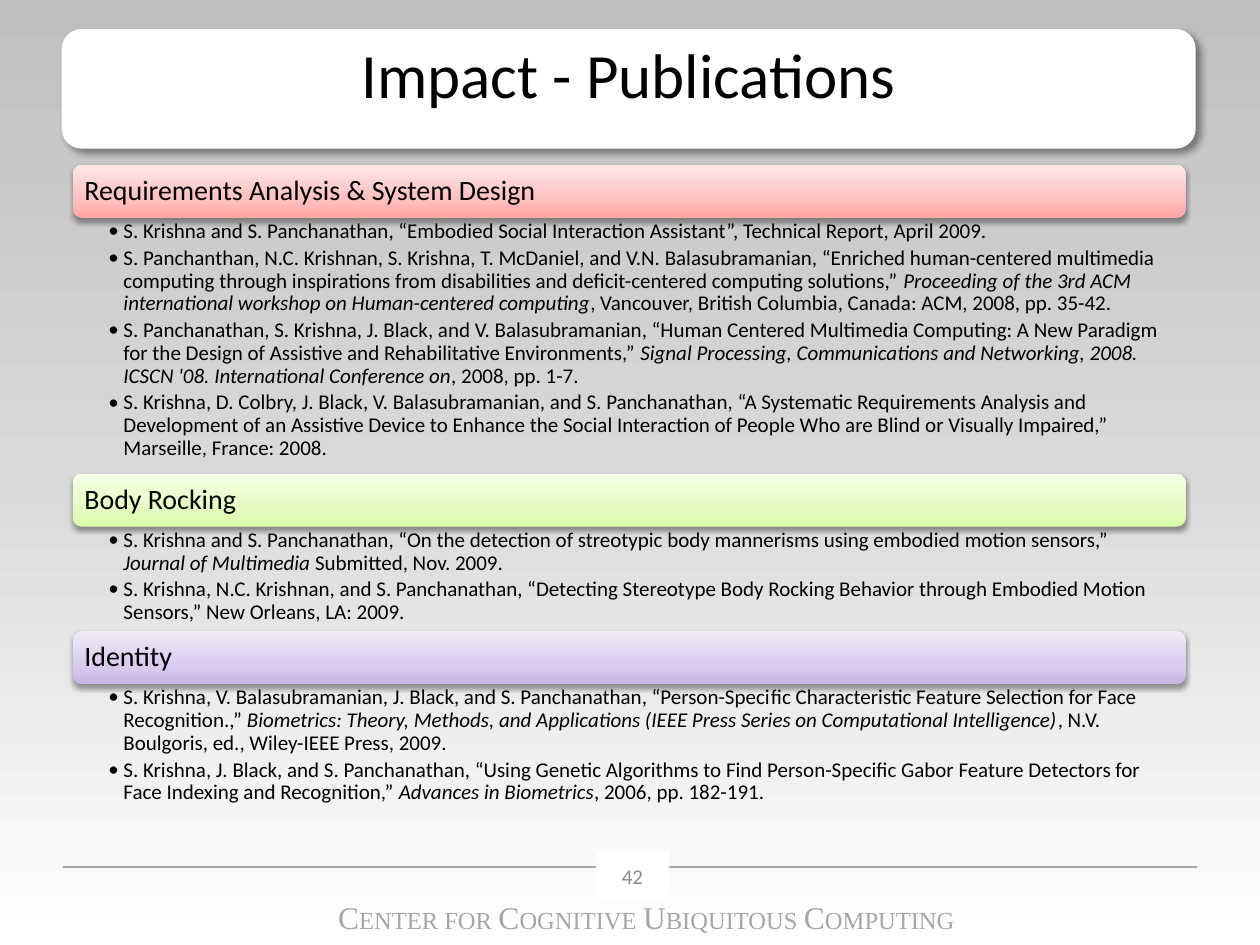
from dataclasses import dataclass

from lxml import etree
from pptx import Presentation
from pptx.dml.color import RGBColor
from pptx.enum.shapes import MSO_CONNECTOR, MSO_SHAPE
from pptx.enum.text import MSO_ANCHOR, MSO_AUTO_SIZE, PP_ALIGN
from pptx.oxml.ns import qn
from pptx.util import Inches, Pt

ROUNDED, RECTANGLE = MSO_SHAPE.ROUNDED_RECTANGLE, MSO_SHAPE.RECTANGLE
STRAIGHT = MSO_CONNECTOR.STRAIGHT
TOP, MIDDLE = MSO_ANCHOR.TOP, MSO_ANCHOR.MIDDLE
LEFT, CENTER = PP_ALIGN.LEFT, PP_ALIGN.CENTER
NO_FIT = MSO_AUTO_SIZE.NONE
COMPARISON_LAYOUT = 4

WIDTH, HEIGHT = Inches(10), Inches(7.5)
COL, ROW = WIDTH / 100, HEIGHT / 75
BAR_ROWS = 4.2


@dataclass(frozen=True)
class Theme:
    font: str = "Calibri"
    footer_font: str = "Times New Roman"
    ink: str = "000000"
    paper: str = "FFFFFF"
    rule: str = "A6A6A6"
    number: str = "8C8C8C"
    backdrop: tuple = ((0, "BFBFBF"), (50, "D9D9D9"), (100, "FFFFFF"))
    red: tuple = ((0, "FFA6A5"), (35, "FFC0BF"), (100, "FFE7E7"))
    green: tuple = ((0, "DAFDA7"), (35, "E4FCC2"), (100, "F5FFE7"))
    purple: tuple = ((0, "C9B5E8"), (35, "D8CBEE"), (100, "F0EAF9"))
    title_size: int = 36
    heading_size: int = 16
    body_size: int = 12
    capital_size: int = 18
    small_cap_size: int = 14


THEME = Theme()

# Asterisks enclose italic passages.
TOPICS = [
    ("Requirements Analysis & System Design", THEME.red, 20.3, [
        "S. Krishna and S. Panchanathan, “Embodied Social Interaction Assistant”, Technical Report, April 2009.",
        "S. Panchanthan, N.C. Krishnan, S. Krishna, T. McDaniel, and V.N. Balasubramanian, “Enriched human-centered "
        "multimedia computing through inspirations from disabilities and deficit-centered computing solutions,” "
        "*Proceeding of the 3rd ACM international workshop on Human-centered computing*, Vancouver, British "
        "Columbia, Canada: ACM, 2008, pp. 35-42.",
        "S. Panchanathan, S. Krishna, J. Black, and V. Balasubramanian, “Human Centered Multimedia Computing: A New "
        "Paradigm for the Design of Assistive and Rehabilitative Environments,” *Signal Processing, Communications "
        "and Networking, 2008. ICSCN '08. International Conference on*, 2008, pp. 1-7.",
        "S. Krishna, D. Colbry, J. Black, V. Balasubramanian, and S. Panchanathan, “A Systematic Requirements "
        "Analysis and Development of an Assistive Device to Enhance the Social Interaction of People Who are Blind "
        "or Visually Impaired,” Marseille, France: 2008.",
    ]),
    ("Body Rocking", THEME.green, 8.3, [
        "S. Krishna and S. Panchanathan, “On the detection of streotypic body mannerisms using embodied motion "
        "sensors,” *Journal of Multimedia* Submitted, Nov. 2009.",
        "S. Krishna, N.C. Krishnan, and S. Panchanathan, “Detecting Stereotype Body Rocking Behavior through "
        "Embodied Motion Sensors,” New Orleans, LA: 2009.",
    ]),
    ("Identity", THEME.purple, 10.1, [
        "S. Krishna, V. Balasubramanian, J. Black, and S. Panchanathan, “Person-Speciﬁc Characteristic Feature "
        "Selection for Face Recognition.,” *Biometrics: Theory, Methods, and Applications (IEEE Press Series on "
        "Computational Intelligence)*, N.V. Boulgoris, ed., Wiley-IEEE Press, 2009.",
        "S. Krishna, J. Black, and S. Panchanathan, “Using Genetic Algorithms to Find Person-Specific Gabor Feature "
        "Detectors for Face Indexing and Recognition,” *Advances in Biometrics*, 2006, pp. 182-191.",
    ]),
]


def grid(col, row, cols, rows):
    return [round(n) for n in (col * COL, row * ROW, cols * COL, rows * ROW)]


def place(shape, box):
    shape.left, shape.top, shape.width, shape.height = box


def style(run, size, color=THEME.ink, font=THEME.font, italic=False):
    run.font.size, run.font.name, run.font.italic = Pt(size), font, italic
    run.font.bold = False
    run.font.color.rgb = RGBColor.from_string(color)


def set_frame(frame, anchor, margins=None):
    frame.word_wrap, frame.auto_size, frame.vertical_anchor = True, NO_FIT, anchor
    if margins:
        (frame.margin_left, frame.margin_top,
         frame.margin_right, frame.margin_bottom) = [Inches(m) for m in margins]


def set_gradient(fill, owner, stops, angle):
    """Fill with any number of stops; owner is the element that holds the fill."""
    fill.gradient()
    fill.gradient_angle = angle
    stop_list = owner.find(".//" + qn("a:gsLst"))
    for old_stop in list(stop_list):
        stop_list.remove(old_stop)
    for share, color in stops:
        stop = etree.SubElement(stop_list, qn("a:gs"), pos=str(share * 1000))
        etree.SubElement(stop, qn("a:srgbClr"), val=color)


def add_shadow(shape, opacity, blur, distance, angle):
    shape.shadow.inherit = False
    effects = shape._element.spPr.find(qn("a:effectLst"))
    outer = etree.SubElement(effects, qn("a:outerShdw"), blurRad=str(Pt(blur)), dist=str(Pt(distance)),
                             dir=str(angle * 60000), algn="ctr", rotWithShape="0")
    color = etree.SubElement(outer, qn("a:srgbClr"), val=THEME.ink)
    etree.SubElement(color, qn("a:alpha"), val=str(opacity * 1000))


def add_bullet(paragraph, indent):
    properties = paragraph._p.get_or_add_pPr()
    properties.set("marL", str(indent))
    properties.set("indent", str(-indent))
    etree.SubElement(properties, qn("a:buFont"), typeface=THEME.font)
    etree.SubElement(properties, qn("a:buChar"), char="•")


def add_title(slide, box, text):
    card = slide.shapes.add_shape(ROUNDED, *box)
    card.fill.solid()
    card.fill.fore_color.rgb = RGBColor.from_string(THEME.paper)
    card.line.fill.background()
    add_shadow(card, 40, 4, 3, 45)
    title = slide.shapes.title
    card._element.addnext(title._element)
    place(title, box)
    set_frame(title.text_frame, TOP)
    title.text_frame.text = text
    title.text_frame.paragraphs[0].alignment = CENTER
    style(title.text_frame.paragraphs[0].runs[0], THEME.title_size)


def add_heading(slide, box, text, stops):
    bar = slide.shapes.add_shape(ROUNDED, *box)
    set_gradient(bar.fill, bar._element.spPr, stops, 90)
    bar.line.fill.background()
    add_shadow(bar, 38, 3.1, 1.6, 90)
    set_frame(bar.text_frame, MIDDLE, (0.07,) * 4)
    bar.text_frame.text = text
    heading = bar.text_frame.paragraphs[0]
    heading.alignment, heading.line_spacing = LEFT, 0.9
    style(heading.runs[0], THEME.heading_size)


def fill_references(body, box, references):
    place(body, box)
    frame = body.text_frame
    set_frame(frame, TOP, (0.28, 0.02, 0.12, 0.02))
    for index, reference in enumerate(references):
        entry = frame.add_paragraph() if index else frame.paragraphs[0]
        add_bullet(entry, Inches(0.12))
        entry.alignment, entry.line_spacing = LEFT, 0.9
        entry.space_before, entry.space_after = Pt(0), Pt(2.4)
        for part, passage in enumerate(reference.split("*")):
            run = entry.add_run()
            run.text = passage
            style(run, THEME.body_size, italic=part % 2 == 1)


def add_topics(slide, col, row, cols):
    """Stack each heading bar directly above its references."""
    bodies = [p for p in slide.placeholders if p.placeholder_format.idx in range(1, 5)]
    for body, (heading, stops, list_rows, references) in zip(bodies, TOPICS):
        add_heading(slide, grid(col, row, cols, BAR_ROWS), heading, stops)
        fill_references(body, grid(col, row + BAR_ROWS, cols, list_rows), references)
        row += BAR_ROWS + list_rows
    for spare in bodies[len(TOPICS):]:
        spare._element.getparent().remove(spare._element)


def add_footer(slide, col, row, cols, number):
    left, top, width, _ = grid(col, row, cols, 0)
    rule = slide.shapes.add_connector(STRAIGHT, left, top, left + width, top)
    rule.line.color.rgb, rule.line.width = RGBColor.from_string(THEME.rule), Pt(0.75)
    etree.SubElement(rule._element.spPr, qn("a:effectLst"))

    center = slide.shapes.add_textbox(*grid(col + 16.7, row + 2, 59.2, 4))
    set_frame(center.text_frame, TOP)
    name = center.text_frame.paragraphs[0]
    name.alignment = CENTER
    for text in ("C", "ENTER FOR ", "C", "OGNITIVE ", "U", "BIQUITOUS ", "C", "OMPUTING"):
        run = name.add_run()
        run.text = text
        size = THEME.capital_size if len(text) == 1 else THEME.small_cap_size
        style(run, size, THEME.rule, THEME.footer_font)

    badge = slide.shapes.add_shape(RECTANGLE, *grid(col + 42.3, row - 1.3, 5.8, 4))
    badge.shadow.inherit = False
    badge.fill.solid()
    badge.fill.fore_color.rgb = RGBColor.from_string(THEME.paper)
    badge.line.fill.background()
    set_frame(badge.text_frame, MIDDLE)
    badge.text_frame.text = number
    badge.text_frame.paragraphs[0].alignment = CENTER
    style(badge.text_frame.paragraphs[0].runs[0], THEME.body_size, THEME.number)


def main():
    deck = Presentation()
    deck.slide_width, deck.slide_height = WIDTH, HEIGHT
    slide = deck.slides.add_slide(deck.slide_layouts[COMPARISON_LAYOUT])
    set_gradient(slide.background.fill, slide.element, THEME.backdrop, 270)
    add_title(slide, grid(4.9, 2.3, 90, 9.5), "Impact - Publications")
    add_topics(slide, 5.8, 13.1, 88.3)
    add_footer(slide, 5, 68.8, 90, "42")
    deck.save("out.pptx")


if __name__ == "__main__":
    main()
